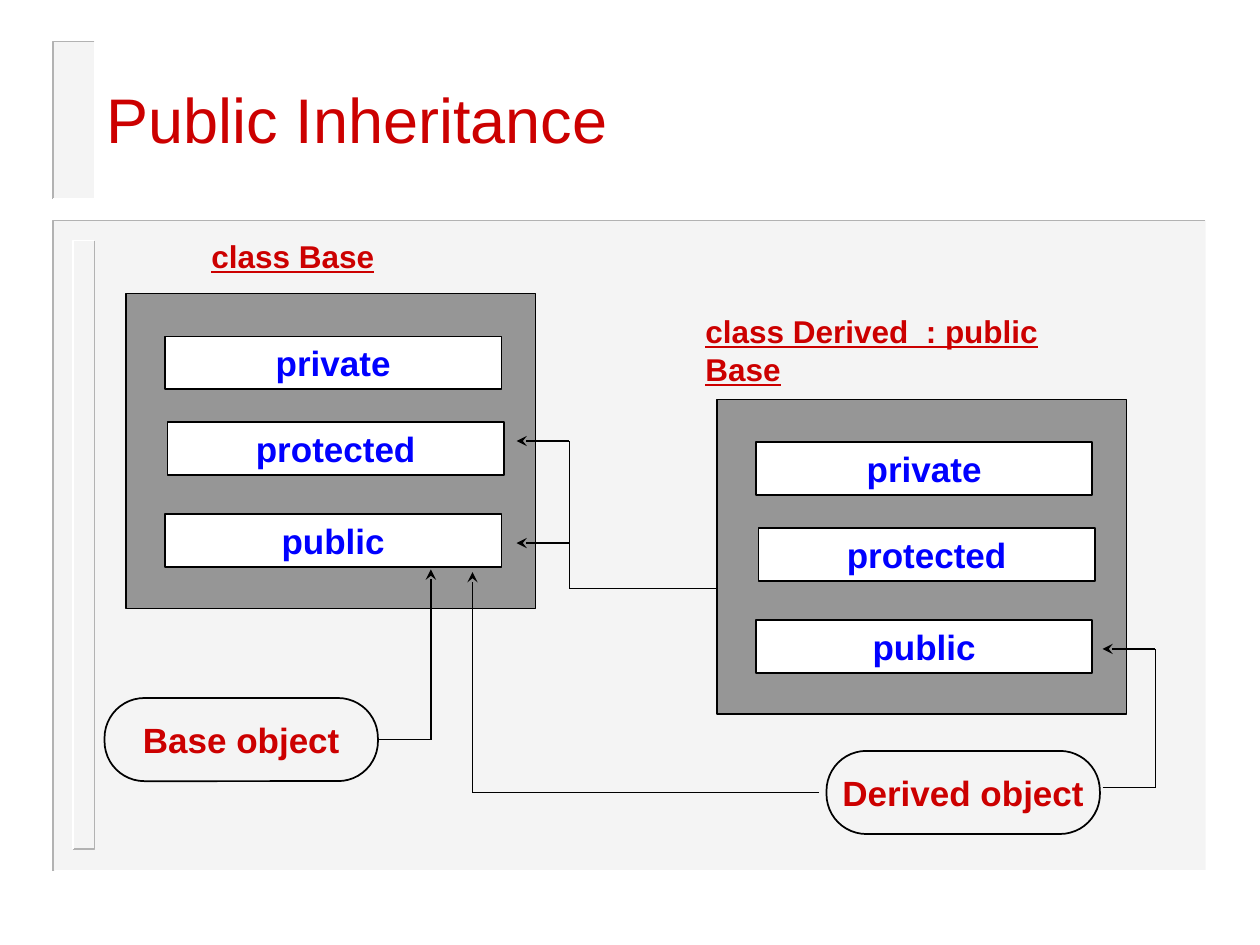
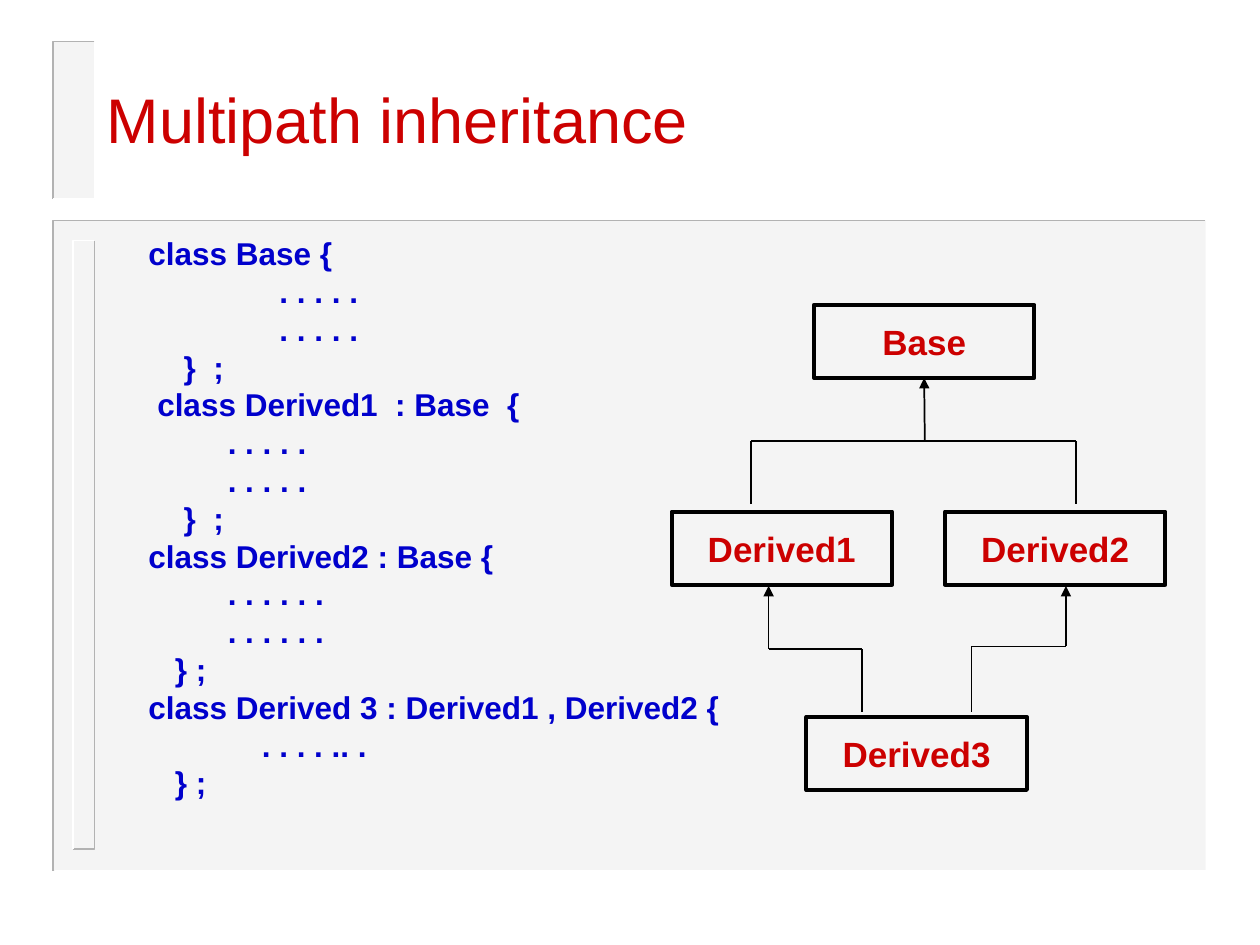
from dataclasses import dataclass
from itertools import pairwise

from lxml import etree
from pptx import Presentation
from pptx.dml.color import RGBColor
from pptx.enum.shapes import MSO_CONNECTOR, MSO_SHAPE
from pptx.enum.text import MSO_ANCHOR, PP_ALIGN
from pptx.oxml.ns import qn
from pptx.util import Inches, Pt

RECT, PILL = MSO_SHAPE.RECTANGLE, MSO_SHAPE.ROUNDED_RECTANGLE
STRAIGHT = MSO_CONNECTOR.STRAIGHT
LEFT, CENTER = PP_ALIGN.LEFT, PP_ALIGN.CENTER
TOP, MIDDLE = MSO_ANCHOR.TOP, MSO_ANCHOR.MIDDLE
BOTTOM_SIDE, RIGHT_SIDE = 2, 3
BLANK_LAYOUT = 6


@dataclass(frozen=True)
class Theme:
    font: str = "Arial"
    red: str = "CC0000"
    member_blue: str = "0000FF"
    code_blue: str = "0000CC"
    black: str = "000000"
    white: str = "FFFFFF"
    class_gray: str = "969696"
    panel: str = "EAEAEA"
    shade: str = "B2B2B2"
    title_size: int = 36
    label_size: int = 20
    code_size: int = 18
    thin: float = 1
    thick: float = 2.25


def rgb(value):
    return RGBColor.from_string(value)


class Deck:
    """Holds the theme and the slide being drawn; lengths are in inches."""

    def __init__(self, theme):
        self.theme = theme
        self.presentation = Presentation()
        self.presentation.slide_width = Inches(10)
        self.presentation.slide_height = Inches(7.5)
        self.shapes = None

    def new_slide(self, title):
        layout = self.presentation.slide_layouts[BLANK_LAYOUT]
        self.shapes = self.presentation.slides.add_slide(layout).shapes
        theme = self.theme
        self.panel(0.43, 1.75, 9.14, 5.16)
        self.edge((9.56, 1.75), (0.42, 1.75), (0.42, 6.91), color=theme.shade)
        self.edge((9.58, 1.75), (9.58, 6.91), (0.44, 6.91), color=theme.white)
        self.edge((0.58, 6.74), (0.75, 6.74), (0.75, 1.91), color=theme.shade)
        self.edge((0.58, 6.74), (0.58, 1.91), (0.75, 1.91), color=theme.white)
        self.panel(0.42, 0.33, 0.33, 1.25)
        self.edge((0.75, 0.33), (0.42, 0.33), (0.42, 1.58), color=theme.shade)
        self.edge((0.75, 0.33), (0.75, 1.58), (0.42, 1.58), color=theme.white)
        self.text(0.75, 0.31, 9.25, 1.25, [(0, title)], theme.title_size,
                  theme.red, bold=False, anchor=MIDDLE, wrap=True)

    def panel(self, left, top, width, height):
        """Draw a half transparent background area."""
        area = self.box(left, top, width, height, fill=self.theme.panel, line=None)
        color = area._element.spPr.find(qn("a:solidFill"))[0]
        etree.SubElement(color, qn("a:alpha"), val="50000")

    def edge(self, *points, color):
        """Draw an open bevel line through the points."""
        start, *rest = [(Inches(x), Inches(y)) for x, y in points]
        builder = self.shapes.build_freeform(*start, scale=1.0)
        builder.add_line_segments(rest, close=False)
        bevel = builder.convert_to_shape()
        bevel.shadow.inherit = False
        bevel.fill.background()
        bevel.line.color.rgb = rgb(color)
        bevel.line.width = Pt(self.theme.thin)

    def box(self, left, top, width, height, label=None, color=None, fill=None,
            line=Theme.thin, kind=RECT):
        shape = self.shapes.add_shape(
            kind, Inches(left), Inches(top), Inches(width), Inches(height))
        shape.shadow.inherit = False
        if fill:
            shape.fill.solid()
            shape.fill.fore_color.rgb = rgb(fill)
        else:
            shape.fill.background()
        if line:
            shape.line.color.rgb = rgb(self.theme.black)
            shape.line.width = Pt(line)
        else:
            shape.line.fill.background()
        if label:
            self.set_lines(shape.text_frame, [(0, label)], self.theme.label_size,
                           color, align=CENTER, anchor=MIDDLE)
        return shape

    def text(self, left, top, width, height, lines, size, color, **style):
        area = self.shapes.add_textbox(
            Inches(left), Inches(top), Inches(width), Inches(height))
        self.set_lines(area.text_frame, lines, size, color, **style)

    def set_lines(self, frame, lines, size, color, bold=True, underline=False,
                  align=LEFT, anchor=TOP, wrap=False):
        """Fill a frame with (indent, text) lines."""
        frame.word_wrap = wrap
        frame.vertical_anchor = anchor
        for number, (indent, content) in enumerate(lines):
            paragraph = frame.add_paragraph() if number else frame.paragraphs[0]
            paragraph.alignment = align
            if indent:
                paragraph._p.get_or_add_pPr().set("marL", str(Inches(indent)))
            run = paragraph.add_run()
            run.text = content
            font = run.font
            font.name, font.size, font.bold = self.theme.font, Pt(size), bold
            font.underline = underline
            font.color.rgb = rgb(color)

    def route(self, *points, arrow=None):
        """Draw straight lines through the points, with an arrowhead at the last."""
        segments = []
        for (x1, y1), (x2, y2) in pairwise(points):
            segment = self.shapes.add_connector(
                STRAIGHT, Inches(x1), Inches(y1), Inches(x2), Inches(y2))
            segment.line.color.rgb = rgb(self.theme.black)
            segment.line.width = Pt(self.theme.thin)
            etree.SubElement(segment._element.spPr, qn("a:effectLst"))
            segments.append(segment)
        if arrow:
            outline = segments[-1]._element.spPr.find(qn("a:ln"))
            etree.SubElement(outline, qn("a:tailEnd"), type=arrow)
        return segments

    def class_box(self, left, top):
        """Draw a class with its three access sections."""
        theme = self.theme
        self.box(left, top, 3.25, 2.5, fill=theme.class_gray)
        sections = [("private", 0.31, 0.34), ("protected", 0.33, 1.02),
                    ("public", 0.31, 1.75)]
        for access, dx, dy in sections:
            self.box(left + dx, top + dy, 2.67, 0.42, access,
                     theme.member_blue, theme.white)

    def heading(self, left, top, width, content):
        self.text(left, top, width, 0.4, [(0, content)], self.theme.code_size,
                  self.theme.red, underline=True)

    def object_pill(self, left, top, label):
        pill = self.box(left, top, 2.17, 0.66, label, self.theme.red, kind=PILL)
        pill.adjustments[0] = 0.48
        return pill

    def class_node(self, left, top, label):
        return self.box(left, top, 1.75, 0.58, label, self.theme.red,
                        line=self.theme.thick)


def public_inheritance(deck):
    deck.new_slide("Public Inheritance")
    deck.class_box(1, 2.33)
    deck.heading(1.58, 1.83, 1.49, "class Base")
    deck.heading(5.5, 2.43, 3.5, "class Derived  : public Base")
    deck.class_box(5.69, 3.17)

    deck.route((5.69, 4.67), (4.52, 4.67), (4.52, 3.5), (4.1, 3.5), arrow="stealth")
    deck.route((4.52, 4.31), (4.1, 4.31), arrow="stealth")

    base_object = deck.object_pill(0.83, 5.54, "Base object")
    from_base, _ = deck.route((3, 5.87), (3.42, 5.87), (3.42, 4.52), arrow="stealth")
    from_base.begin_connect(base_object, RIGHT_SIDE)

    deck.object_pill(6.56, 5.96, "Derived object")
    deck.route((8.75, 6.25), (9.17, 6.25), (9.17, 5.15), (8.75, 5.15), arrow="stealth")
    deck.route((6.5, 6.29), (3.75, 6.29), (3.75, 4.54), arrow="stealth")


def multipath_inheritance(deck):
    deck.new_slide("Multipath inheritance")
    code = [
        (0, "class Base {"),
        (1.04, ". . . . ."),
        (1.04, ". . . . ."),
        (0.28, "}  ;"),
        (0.07, "class Derived1  : Base  {"),
        (0.63, ". . . . ."),
        (0.63, ". . . . ."),
        (0.28, "}  ;"),
        (0, "class Derived2 : Base {"),
        (0.63, ". . . . . ."),
        (0.63, ". . . . . ."),
        (0.21, "} ;"),
        (0, "class Derived 3 : Derived1 , Derived2 {"),
        (0.9, ". . . . .. ."),
        (0.21, "} ;"),
    ]
    deck.text(1.08, 1.81, 4.73, 4.6, code, deck.theme.code_size, deck.theme.code_blue)

    base = deck.class_node(6.46, 2.42, "Base")
    deck.class_node(5.33, 4.06, "Derived1")
    deck.class_node(7.5, 4.06, "Derived2")
    deck.class_node(6.4, 5.69, "Derived3")

    deck.route((5.96, 4), (5.96, 3.5), (8.54, 3.5), (8.54, 4))
    to_base, = deck.route((7.34, 3.5), (7.34, 3), arrow="triangle")
    to_base.end_connect(base, BOTTOM_SIDE)
    for start, turn, end in [(6.84, 5.15, 6.1), (7.71, 5.13, 8.46)]:
        deck.route((start, 5.65), (start, turn), (end, turn), (end, 4.65),
                   arrow="triangle")


def main():
    deck = Deck(Theme())
    public_inheritance(deck)
    multipath_inheritance(deck)
    deck.presentation.save("out.pptx")


if __name__ == "__main__":
    main()
